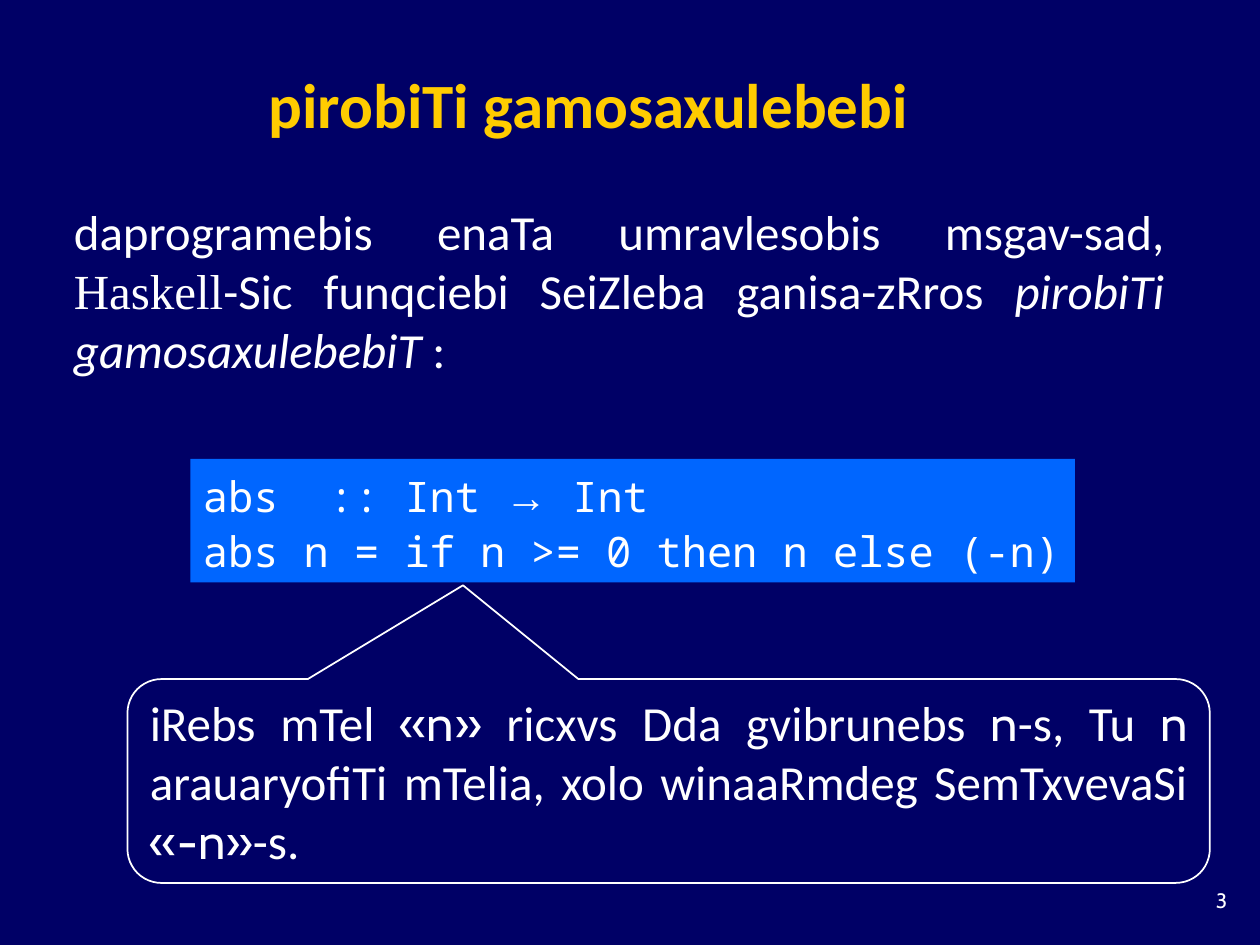
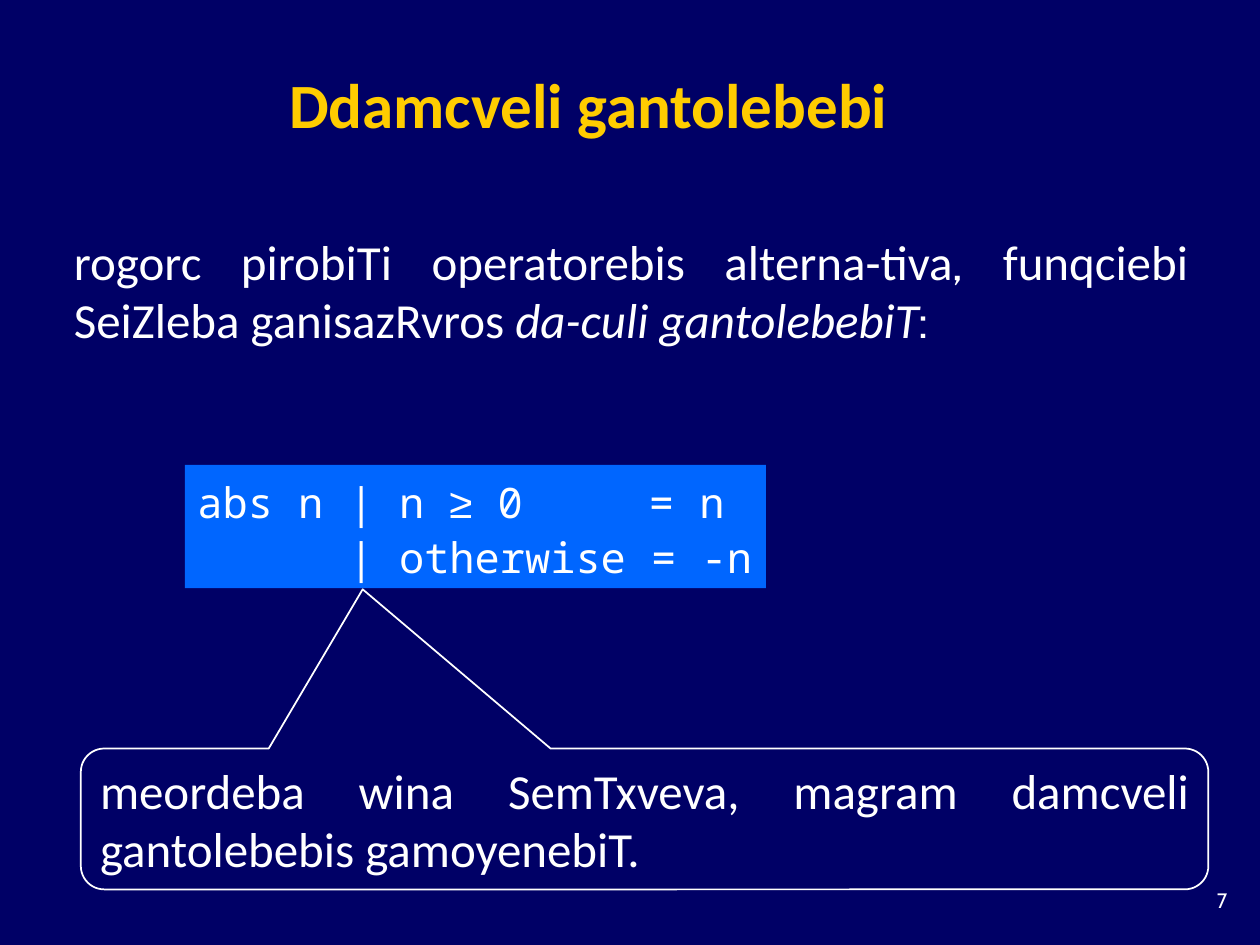
from pptx import Presentation
from pptx.dml.color import RGBColor
from pptx.enum.shapes import MSO_SHAPE
from pptx.enum.text import MSO_ANCHOR, MSO_AUTO_SIZE, PP_ALIGN
from pptx.util import Cm, Pt

BOX = MSO_SHAPE.RECTANGLE
BUBBLE = MSO_SHAPE.ROUNDED_RECTANGULAR_CALLOUT
TOP, MIDDLE, BOTTOM = MSO_ANCHOR.TOP, MSO_ANCHOR.MIDDLE, MSO_ANCHOR.BOTTOM
LEFT, CENTER, RIGHT, JUSTIFY = (
    PP_ALIGN.LEFT, PP_ALIGN.CENTER, PP_ALIGN.RIGHT, PP_ALIGN.JUSTIFY)
GROW = MSO_AUTO_SIZE.SHAPE_TO_FIT_TEXT

COLORS = {"back": "000066", "title": "FFCC00", "text": "FFFFFF", "code": "0066FF"}
SANS, ROUND, SERIF, MONO, SIGN = (
    "Calibri", "Cabin", "Times New Roman", "Noto Sans Mono", "Arial")


def color(name):
    return RGBColor.from_string(COLORS[name])


def place(left, top, width, height):
    return Cm(left), Cm(top), Cm(width), Cm(height)


def write(shape, lines, size, font=SANS, align=LEFT, anchor=MIDDLE,
          tint="text", bold=None, space=None, wrap=True):
    """Fill a shape with lines; a line is a list of (text, font or None, italic)."""
    frame = shape.text_frame
    frame.word_wrap = wrap
    frame.vertical_anchor = anchor
    for i, line in enumerate(lines):
        para = frame.add_paragraph() if i else frame.paragraphs[0]
        para.alignment = align
        para.line_spacing = space
        para.font.size = Pt(size)
        para.font.name = font
        para.font.bold = bold
        para.font.color.rgb = color(tint)
        for text, face, slant in line:
            run = para.add_run()
            run.text = text
            if face:
                run.font.name = face
            if slant:
                run.font.italic = True


def run(text, face=None, slant=False):
    return text, face, slant


def add_base(deck, title, number):
    slide = deck.slides.add_slide(deck.slide_layouts[6])
    slide.background.fill.solid()
    slide.background.fill.fore_color.rgb = color("back")
    page = slide.shapes.add_textbox(*place(23.29, 17.78, 1.7, 0.84))
    write(page, [[run(str(number))]], 11.9, ROUND, RIGHT, TOP)
    head = slide.shapes.add_textbox(*place(1.07, 1.07, 21.59, 1.91))
    write(head, [[run(title)]], 36, align=CENTER, anchor=BOTTOM,
          tint="title", bold=True)
    return slide


def add_body(slide, width, runs):
    body = slide.shapes.add_textbox(*place(1.24, 3.94, width, 3.81))
    write(body, [runs], 28, align=JUSTIFY)
    body.text_frame.auto_size = GROW


def add_code(slide, left, top, width, lines):
    code = slide.shapes.add_shape(BOX, *place(left, top, width, 2.49))
    code.shadow.inherit = False
    code.fill.solid()
    code.fill.fore_color.rgb = color("code")
    code.line.fill.background()
    write(code, lines, 24, MONO, space=1.1, wrap=False)
    code.text_frame.auto_size = GROW


def add_note(slide, spot, tip, runs):
    """Add a callout whose tip is given as shares of its size from its centre."""
    note = slide.shapes.add_shape(BUBBLE, *place(*spot))
    note.shadow.inherit = False
    note.fill.background()
    note.line.color.rgb = color("text")
    note.line.width = Pt(1)
    note.adjustments[0], note.adjustments[1] = tip
    write(note, [runs], 28, align=JUSTIFY)
    note.text_frame.auto_size = GROW


def add_ifs(deck):
    slide = add_base(deck, "pirobiTi gamosaxulebebi", 3)
    add_body(slide, 22.48, [
        run("daprogramebis enaTa umravlesobis msgav-sad, "),
        run("Haskell", SERIF),
        run("-Sic funqciebi SeiZleba ganisa-zRros "),
        run("pirobiTi gamosaxulebebiT ", slant=True),
        run(":"),
    ])
    add_code(slide, 3.84, 9.25, 17.83, [
        [run("abs  :: Int "), run("→", SIGN), run(" Int")],
        [run("abs n = if n >= 0 then n else (-n)")],
    ])
    add_note(slide, (2.57, 13.69, 21.82, 4.11), (-0.19, -0.96), [
        run("iRebs mTel "),
        run("«n»", ROUND),
        run(" ricxvs Dda gvibrunebs "),
        run("n", ROUND),
        run("-s, Tu "),
        run("n", ROUND),
        run(" arauaryofiTi mTelia, xolo winaaRmdeg SemTxvevaSi "),
        run("«-n»", ROUND),
        run("-s."),
    ])


def add_guards(deck):
    slide = add_base(deck, "Ddamcveli gantolebebi", 7)
    add_body(slide, 22.96, [
        run("rogorc pirobiTi operatorebis alterna-tiva"),
        run(", ", ROUND),
        run("funqciebi SeiZleba ganisazRvros "),
        run("da-culi gantolebebiT", slant=True),
        run(":", ROUND),
    ])
    add_code(slide, 3.73, 9.37, 11.71, [
        [run("abs n | n "), run("≥", SIGN), run(" 0     = n")],
        [run("      | otherwise = -n")],
    ])
    add_note(slide, (1.63, 15.09, 22.73, 2.84), (-0.25, -1.63), [
        run("meordeba wina SemTxveva, magram damcveli gantolebebis gamoyenebiT."),
    ])


def main():
    deck = Presentation()
    deck.slide_width, deck.slide_height = Cm(25.4), Cm(19.05)
    add_ifs(deck)
    add_guards(deck)
    deck.save("out.pptx")


if __name__ == "__main__":
    main()
